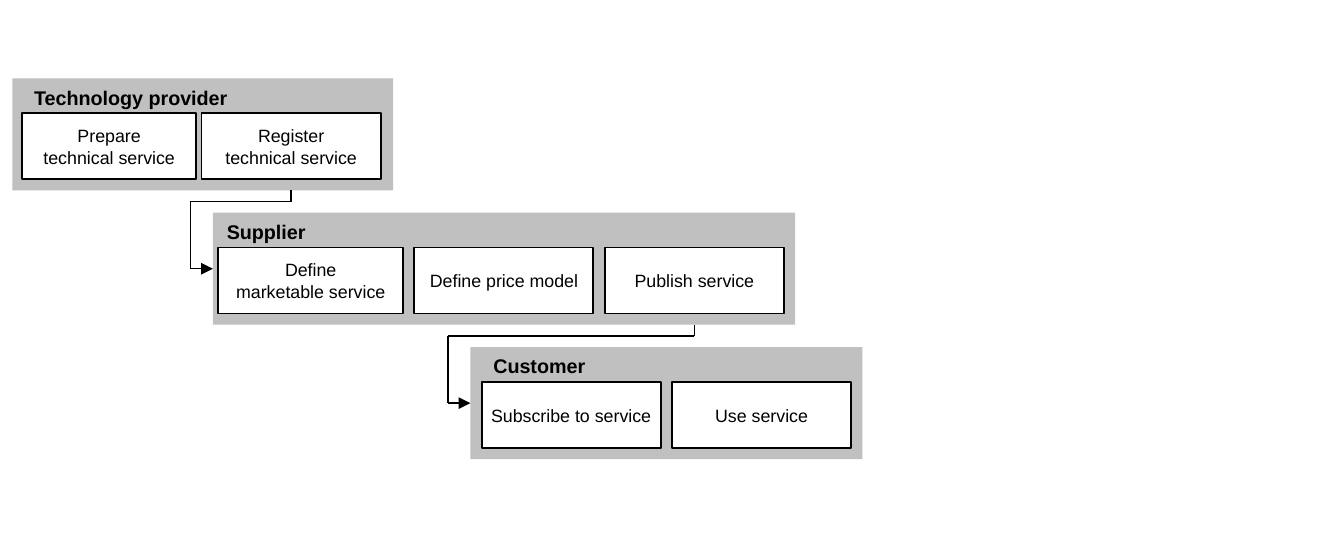
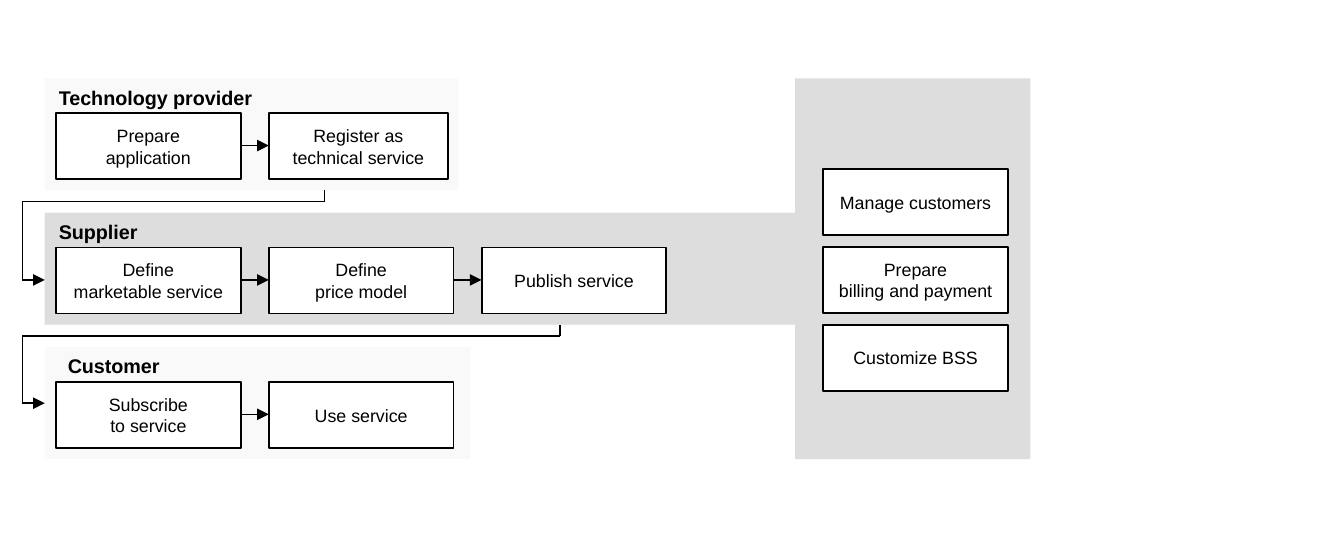
from pptx import Presentation
from pptx.dml.color import RGBColor
from pptx.enum.shapes import MSO_CONNECTOR as CONN, MSO_SHAPE as SHAPE
from pptx.enum.text import MSO_ANCHOR as ANCHOR, PP_ALIGN as ALIGN
from pptx.oxml.ns import qn
from pptx.util import Inches, Pt
from lxml.etree import SubElement

# Grid: the slide is COLS by ROWS square cells; lanes repeat every LANE_STEP rows
COLS, ROWS = 120, 50
LANE_TOP, LANE_STEP, LANE_H = 7, 12, 10
BOX_DROP, BOX_H = 3.1, 5.9


def rgb(value):
    return RGBColor.from_string(value)


class Diagram:
    INK, PAPER = "000000", "FFFFFF"
    SILVER, GREY, PALE = "C0C0C0", "DDDDDD", "EAEAEA"
    TITLE = dict(name="Arial", size=Pt(10), bold=True)
    LABEL = dict(name="Arial", size=Pt(9), bold=False)

    def __init__(self, prs):
        self.prs = prs
        self.s = None

    def new_slide(self):
        self.s = self.prs.slides.add_slide(self.prs.slide_layouts[6])

    def at(self, *cells):
        """Turn alternating columns and rows into slide lengths."""
        sizes = (self.prs.slide_width / COLS, self.prs.slide_height / ROWS)
        return [round(c * sizes[i % 2]) for i, c in enumerate(cells)]

    def set_text(self, tf, text, style, align):
        tf.text = text
        for p in tf.paragraphs:
            p.alignment = align
            for r in p.runs:
                for key, value in style.items():
                    setattr(r.font, key, value)
                r.font.color.rgb = rgb(self.INK)

    def rect(self, x, y, w, h, fill, opacity=100):
        sp = self.s.shapes.add_shape(SHAPE.RECTANGLE, *self.at(x, y, w, h))
        sp.shadow.inherit = False
        sp.fill.solid()
        sp.fill.fore_color.rgb = rgb(fill)
        sp.line.fill.background()
        if opacity < 100:
            clr = sp._element.spPr.find(qn("a:solidFill"))[0]
            SubElement(clr, qn("a:alpha"), val=str(opacity * 1000))
        return sp

    def title(self, x, y, text):
        sp = self.s.shapes.add_textbox(*self.at(x, y, 22.2, 3.4))
        sp.text_frame.word_wrap = True
        self.set_text(sp.text_frame, text, self.TITLE, ALIGN.LEFT)

    def box(self, x, y, w, text):
        sp = self.rect(x, y, w, BOX_H, self.PAPER)
        sp.line.color.rgb = rgb(self.INK)
        sp.line.width = Pt(1)
        tf = sp.text_frame
        tf.word_wrap = False
        tf.vertical_anchor = ANCHOR.MIDDLE
        self.set_text(tf, text, self.LABEL, ALIGN.CENTER)

    def route(self, *points):
        """Join the points with straight lines; the last one gets an arrowhead."""
        for start, end in zip(points, points[1:]):
            line = self.s.shapes.add_connector(CONN.STRAIGHT, *self.at(*start, *end))
            line.line.color.rgb = rgb(self.INK)
            line.line.width = Pt(0.75)
            props = line._element.spPr
            if end == points[-1]:
                SubElement(props.find(qn("a:ln")), qn("a:tailEnd"), type="triangle")
            SubElement(props, qn("a:effectLst"))

    def lane(self, n, x, w, title, title_x, boxes, fill, opacity=100, arrows=False):
        """Draw band n with its title and its boxes, given as (x, width, text)."""
        y = LANE_TOP + n * LANE_STEP
        self.rect(x, y, w, LANE_H, fill, opacity)
        self.title(title_x, y, title)
        if arrows:
            for box_x, _, _ in boxes[1:]:
                self.route((box_x - 3, y + 6), (box_x, y + 6))
        for box_x, box_w, text in boxes:
            self.box(box_x, y + BOX_DROP, box_w, text)

    def handover(self, n, from_x, to_x, drop):
        """Lead from the foot of lane n to the left edge of the next lane."""
        foot = LANE_TOP + n * LANE_STEP + LANE_H
        turn, x = foot + 1, to_x - 2
        self.route((from_x, foot), (from_x, turn), (x, turn),
                   (x, turn + drop), (to_x, turn + drop))


def role_steps(d):
    d.new_slide()
    d.lane(0, 1.1, 34, "Technology provider", 1.8,
           [(2, 15.5, "Prepare\vtechnical service"),
            (18, 16, "Register\vtechnical service")], d.SILVER)
    d.lane(1, 19, 52, "Supplier", 19,
           [(19.5, 16.5, "Define\vmarketable service"),
            (37, 16, "Define price model"),
            (54, 16, "Publish service")], d.SILVER)
    d.lane(2, 42, 35, "Customer", 42.8,
           [(43, 16, "Subscribe to service"),
            (60, 16, "Use service")], d.SILVER)
    d.handover(0, 26, 19, 6)
    d.handover(1, 62, 42, 6)


def supplier_focus(d):
    d.new_slide()
    # Lanes: title, title column, band width, fill, opacity, (box width, text)
    lanes = [
        ("Technology provider", 4, 36.9, d.PALE, 25,
         [(16.5, "Prepare\napplication"), (16, "Register as\vtechnical service")]),
        ("Supplier", 4, 67, d.GREY, 100,
         [(16.5, "Define\nmarketable service"), (16.5, "Define\nprice model"),
          (16.5, "Publish service")]),
        ("Customer", 4.8, 38, d.PALE, 25,
         [(16.5, "Subscribe\nto service"), (16.5, "Use service")]),
    ]
    for n, (title, title_x, w, fill, opacity, steps) in enumerate(lanes):
        boxes = [(5 + 19 * i, *step) for i, step in enumerate(steps)]
        d.lane(n, 4, w, title, title_x, boxes, fill, opacity, arrows=True)
    d.handover(0, 29, 4, 7)
    d.handover(1, 50, 4, 6)

    # Ongoing supplier tasks across all lanes
    d.rect(71, LANE_TOP, 21, 2 * LANE_STEP + LANE_H, d.GREY)
    tasks = ["Manage customers", "Prepare\nbilling and payment", "Customize BSS"]
    for i, task in enumerate(tasks):
        d.box(73.5, 15.1 + 6.95 * i, 16.5, task)


def main():
    prs = Presentation()
    prs.slide_width, prs.slide_height = Inches(9.45), Inches(3.94)
    d = Diagram(prs)
    role_steps(d)
    supplier_focus(d)
    prs.save("out.pptx")


if __name__ == "__main__":
    main()
